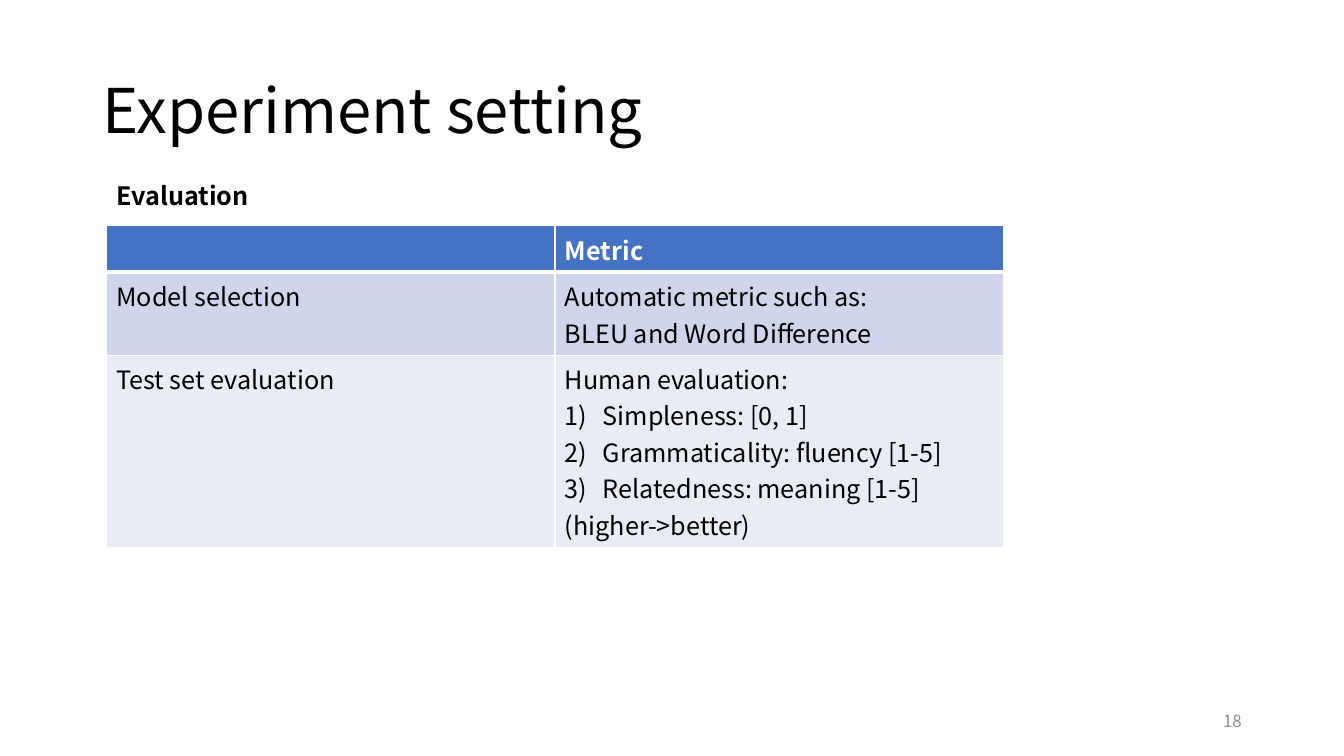
import pptx
import pptx.dml.color
import pptx.enum.text
import pptx.oxml
import pptx.oxml.ns
import pptx.util

Pt = pptx.util.Pt
RGB = pptx.dml.color.RGBColor
ANCHOR = pptx.enum.text.MSO_ANCHOR
ALIGN = pptx.enum.text.PP_ALIGN

FONT = "Noto Sans CJK JP"
BLACK = RGB(0x00, 0x00, 0x00)
WHITE = RGB(0xFF, 0xFF, 0xFF)
GRAY = RGB(0x8C, 0x8C, 0x8C)
BLUE = RGB(0x44, 0x72, 0xC4)
BANDS = [RGB(0xCF, 0xD5, 0xEA), RGB(0xE9, 0xEB, 0xF5)]

TITLE = "Experiment setting"
LABEL = "Evaluation"
NUMBER = "18"
ROWS = [
    ("", "Metric"),
    ("Model selection",
     "Automatic metric such as:\nBLEU and Word Difference"),
    ("Test set evaluation",
     "Human evaluation:\nSimpleness: [0, 1]\nGrammaticality: fluency [1-5]\n"
     "Relatedness: meaning [1-5]\n(higher->better)"),
]
LISTED = range(1, 4)
LEFT, TOP, WIDTH = 76, 161.3, 640.8
LINE, MARGIN = 26, 7.2
INDENT = 27


def style(frame, size, color, bold=False):
    for para in frame.paragraphs:
        for run in para.runs:
            font = run.font
            font.name, font.size, font.bold = FONT, Pt(size), bold
            font.color.rgb = color


def add_text(slide, box, text, size, color, bold=False, anchor=ANCHOR.TOP):
    frame = slide.shapes.add_textbox(*map(Pt, box)).text_frame
    frame.word_wrap = True
    frame.vertical_anchor = anchor
    frame.text = text
    style(frame, size, color, bold)
    return frame.paragraphs[0]


def add_borders(cell, row):
    widths = {"L": 1, "R": 1, "T": 3 if row == 1 else 1, "B": 3 if row == 0 else 1}
    props = cell._tc.get_or_add_tcPr()
    for i, (side, width) in enumerate(widths.items()):
        line = pptx.oxml.parse_xml(
            f'<a:ln{side} {pptx.oxml.ns.nsdecls("a")} w="{Pt(width)}">'
            f'<a:solidFill><a:srgbClr val="{WHITE}"/></a:solidFill></a:ln{side}>')
        props.insert(i, line)


def add_number(para):
    props = para._p.get_or_add_pPr()
    props.set("marL", str(Pt(INDENT)))
    props.set("indent", str(-Pt(INDENT)))
    props.append(pptx.oxml.parse_xml(
        f'<a:buAutoNum {pptx.oxml.ns.nsdecls("a")} type="arabicParenR"/>'))


def add_grid(slide):
    heights = [MARGIN + LINE * len(texts[1].split("\n")) for texts in ROWS]
    box = LEFT, TOP, WIDTH, sum(heights)
    table = slide.shapes.add_table(len(ROWS), 2, *map(Pt, box)).table
    for r, texts in enumerate(ROWS):
        head = r == 0
        table.rows[r].height = Pt(heights[r])
        for c, text in enumerate(texts):
            cell = table.cell(r, c)
            cell.text_frame.text = text
            style(cell.text_frame, 18, WHITE if head else BLACK, head)
            cell.fill.solid()
            cell.fill.fore_color.rgb = BLUE if head else BANDS[r - 1]
            add_borders(cell, r)
    for i in LISTED:
        add_number(table.cell(2, 1).text_frame.paragraphs[i])


def main():
    deck = pptx.Presentation()
    deck.slide_width, deck.slide_height = Pt(960), Pt(540)
    slide = deck.slides.add_slide(deck.slide_layouts[6])
    title = add_text(slide, (66, 28.75, 828, 104.4), TITLE, 44, BLACK,
                     anchor=ANCHOR.MIDDLE)
    title.line_spacing = 0.9
    add_grid(slide)
    page = add_text(slide, (678, 500.5, 216, 28.75), NUMBER, 12, GRAY,
                    anchor=ANCHOR.MIDDLE)
    page.alignment = ALIGN.RIGHT
    add_text(slide, (LEFT, 125.3, 296, 29.1), LABEL, 18, BLACK, True)
    deck.save("out.pptx")


if __name__ == "__main__":
    main()
